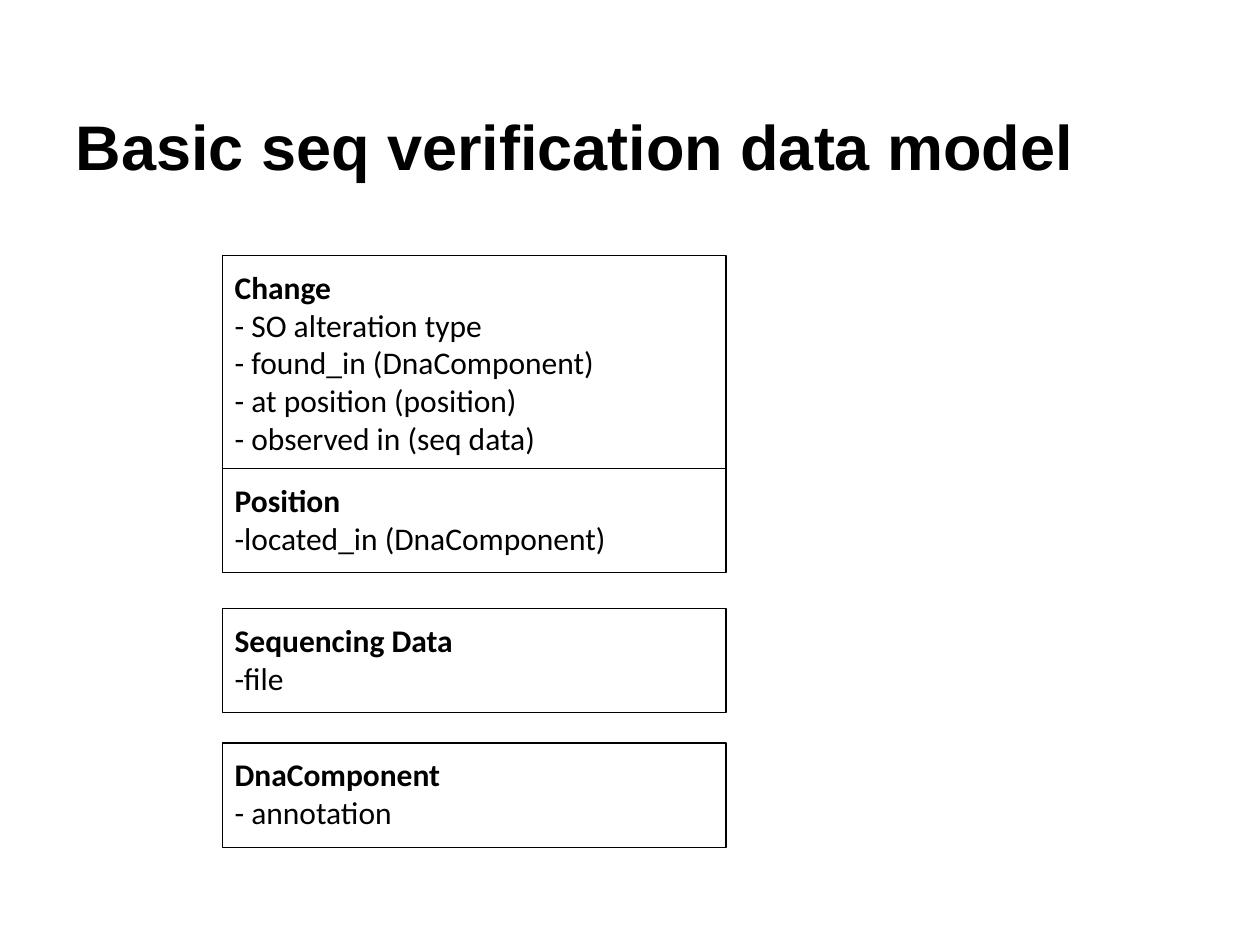
from pptx import Presentation
from pptx import util as u
from pptx.dml.color import RGBColor
from pptx.enum import shapes, text

TITLE = "Basic seq verification data model"
# Each class: top (cm), height (cm), name, attributes
CLASSES = [
    (5.15, 4.3, "Change", ["- SO alteration type", "- found_in (DnaComponent)",
                           "- at position (position)", "- observed in (seq data)"]),
    (9.45, 2.1, "Position", ["-located_in (DnaComponent)"]),
    (12.27, 2.1, "Sequencing Data", ["-file"]),
    (14.98, 2.1, "DnaComponent", ["- annotation"]),
]
COLORS = {"ink": "000000"}
INK = RGBColor.from_string(COLORS["ink"])
LEFT, WIDTH, INSET = u.Cm(4.48), u.Cm(10.16), u.Cm(0.25)


def set_frame(frame, anchor):
    frame.word_wrap = True
    frame.auto_size = text.MSO_AUTO_SIZE.NONE
    frame.vertical_anchor = anchor
    frame.margin_left = frame.margin_right = INSET
    frame.margin_top = frame.margin_bottom = INSET


def format_para(para, font_name, size, bold):
    para.alignment = text.PP_ALIGN.LEFT
    for span in para.runs:
        span.font.name = font_name
        span.font.size = u.Pt(size)
        span.font.bold = bold
        span.font.color.rgb = INK


def add_class(page, top, height, name, attributes):
    box = page.shapes.add_shape(shapes.MSO_SHAPE.RECTANGLE,
                                LEFT, u.Cm(top), WIDTH, u.Cm(height))
    box.shadow.inherit = False
    box.fill.background()
    box.line.color.rgb = INK
    box.line.width = u.Pt(0.75)
    set_frame(box.text_frame, text.MSO_ANCHOR.TOP)
    box.text_frame.text = "\n".join([name, *attributes])
    for index, para in enumerate(box.text_frame.paragraphs):
        format_para(para, "Calibri", 18, index == 0)


def main():
    deck = Presentation()
    deck.slide_width, deck.slide_height = u.Cm(25.4), u.Cm(19.05)
    page = deck.slides.add_slide(deck.slide_layouts[5])

    # Title
    title = page.shapes.title
    title.left, title.top = u.Cm(1.28), u.Cm(1.88)
    title.width, title.height = u.Cm(22.86), u.Cm(2.06)
    title.text_frame.text = TITLE
    set_frame(title.text_frame, text.MSO_ANCHOR.BOTTOM)
    format_para(title.text_frame.paragraphs[0], "Arial", 36, True)

    # Class boxes
    for entry in CLASSES:
        add_class(page, *entry)

    deck.save("out.pptx")


if __name__ == "__main__":
    main()
